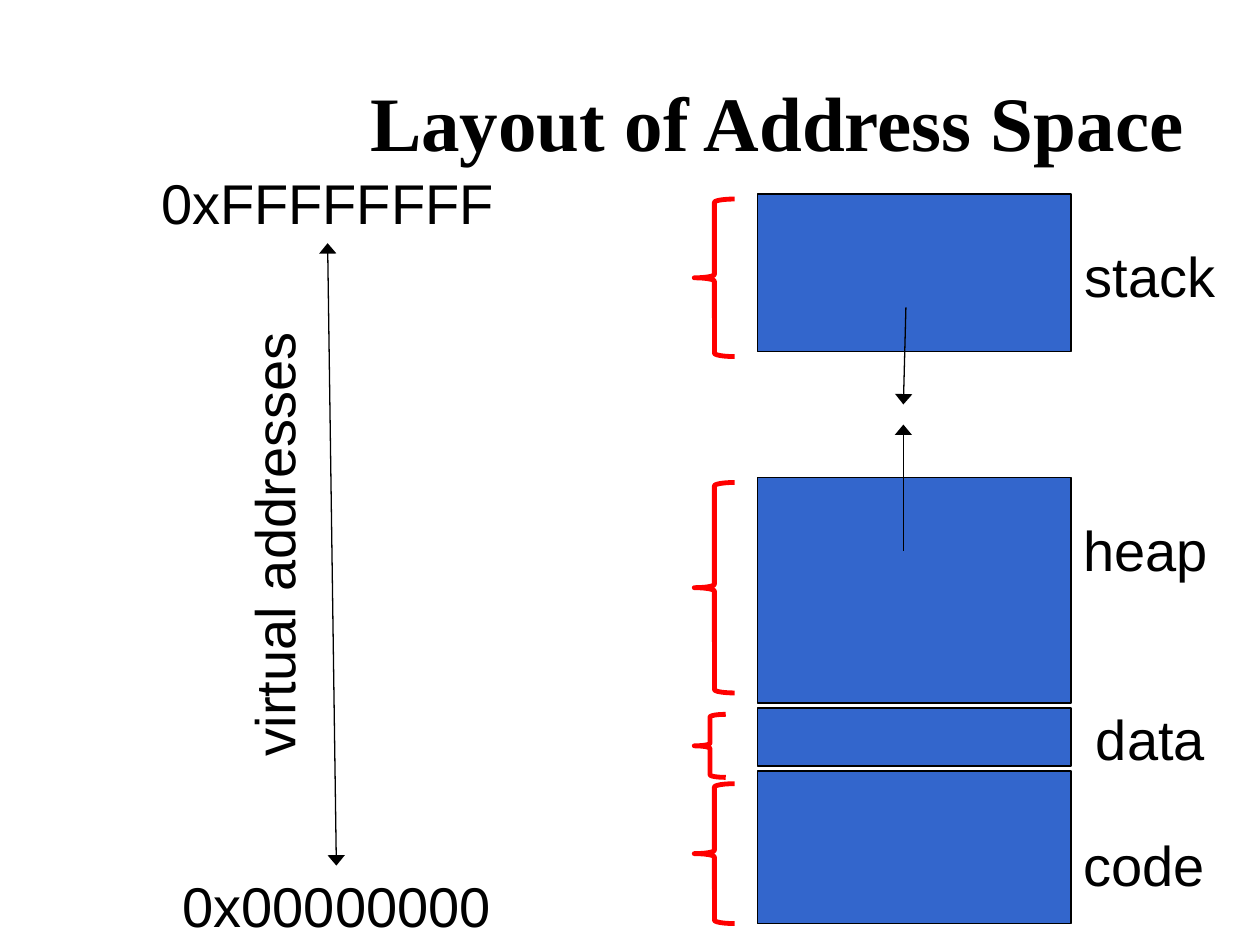
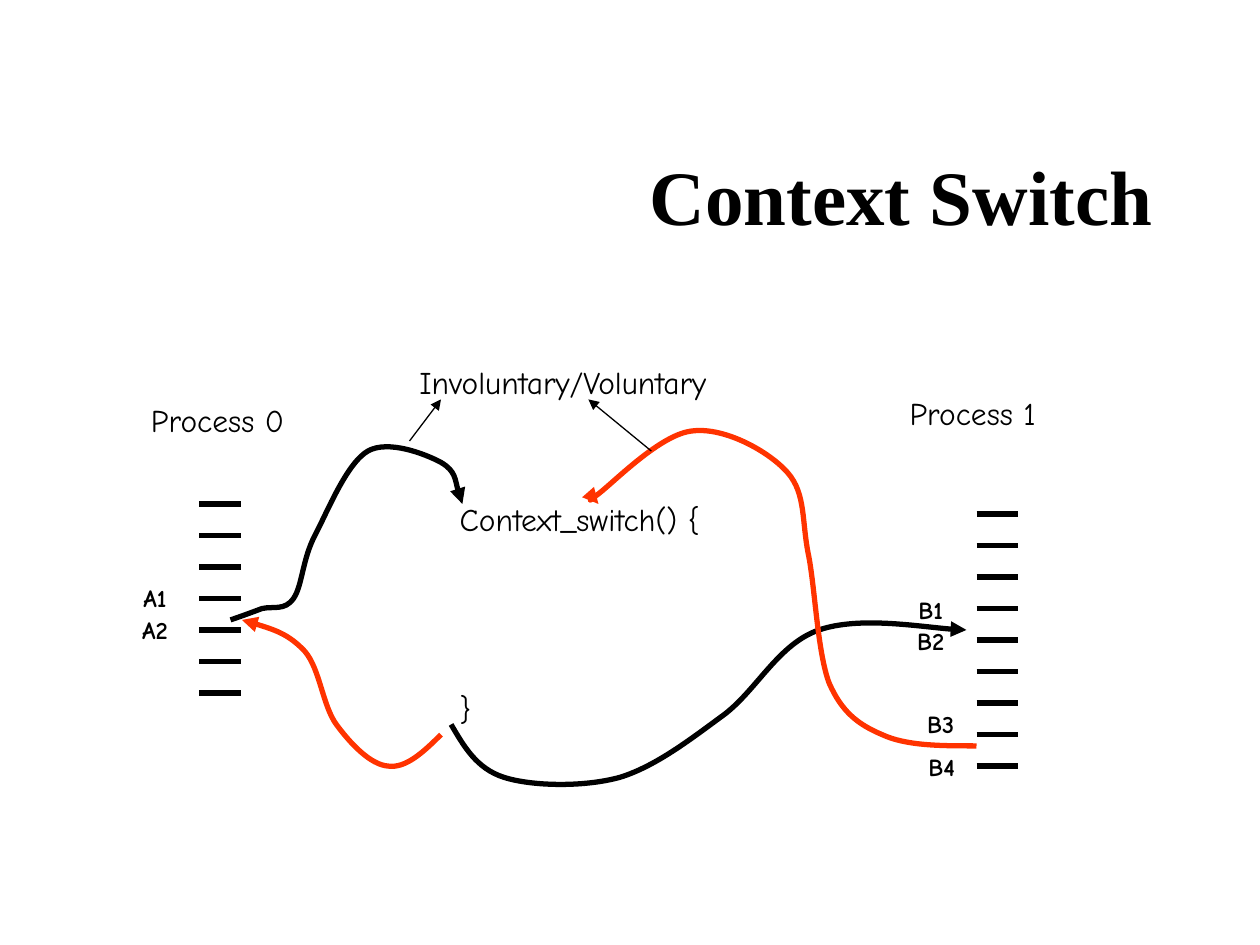
"""Build two slides on process memory layout and context switching."""
from pptx import Presentation
from pptx.dml.color import RGBColor
from pptx.enum.shapes import MSO_CONNECTOR, MSO_SHAPE
from pptx.enum.text import MSO_ANCHOR, MSO_AUTO_SIZE, PP_ALIGN
from pptx.oxml.xmlchemy import OxmlElement
from pptx.util import Inches, Pt

BLACK = RGBColor(0x00, 0x00, 0x00)
BLUE = RGBColor(0x33, 0x66, 0xCC)
RED = RGBColor(0xFF, 0x00, 0x00)
ORANGE = RGBColor(0xFF, 0x33, 0x00)
SANS, SERIF, COMIC = "Arial", "Times New Roman", "Comic Neue"
THIN, BRACE, THICK = 0.75, 2.75, 3
SLACK = 0.04


def write(p, text, font=SANS, size=32, bold=False, color=BLACK, before=0):
    p.space_before = Pt(before)
    r = p.add_run()
    r.text = text
    r.font.name, r.font.size, r.font.bold = font, Pt(size), bold
    r.font.color.rgb = color


class Deck:
    def __init__(self):
        self.prs = Presentation()
        self.prs.slide_width, self.prs.slide_height = Inches(10), Inches(7.5)
        self.s = None

    def slide(self, title, left, top):
        self.s = self.prs.slides.add_slide(self.prs.slide_layouts[5])
        sp = self.s.shapes.title
        sp.left, sp.top, sp.width, sp.height = map(Inches, (left, top, 7.17, 1.25))
        tf = sp.text_frame
        tf.vertical_anchor, tf.auto_size = MSO_ANCHOR.MIDDLE, MSO_AUTO_SIZE.NONE
        p = tf.paragraphs[0]
        p.alignment = PP_ALIGN.RIGHT
        write(p, title, font=SERIF, size=44, bold=True)

    def text(self, text, left, top, width, height, rotation=0, **fmt):
        sp = self.s.shapes.add_textbox(
            *map(Inches, (left, top, width + SLACK, height)))
        sp.rotation = rotation
        tf = sp.text_frame
        tf.word_wrap, tf.auto_size = False, MSO_AUTO_SIZE.SHAPE_TO_FIT_TEXT
        write(tf.paragraphs[0], text, **fmt)
        return tf

    def stroke(self, sp, color, width, head=False, tail=False, spread="med"):
        sp.line.color.rgb, sp.line.width = color, Pt(width)
        for tag, wanted in (("a:headEnd", head), ("a:tailEnd", tail)):
            if wanted:
                end = OxmlElement(tag)
                end.set("type", "triangle")
                end.set("w", spread)
                sp.line._get_or_add_ln().append(end)

    def shape(self, kind, left, top, width, height, line, weight, fill=None):
        sp = self.s.shapes.add_shape(kind, *map(Inches, (left, top, width, height)))
        sp.shadow.inherit = False
        if fill is None:
            sp.fill.background()
        else:
            sp.fill.solid()
            sp.fill.fore_color.rgb = fill
        self.stroke(sp, line, weight)

    def line(self, x1, y1, x2, y2, width=THIN, **ends):
        sp = self.s.shapes.add_connector(
            MSO_CONNECTOR.STRAIGHT, *map(Inches, (x1, y1, x2, y2)))
        self.stroke(sp, BLACK, width, **ends)
        sp._element.spPr.append(OxmlElement("a:effectLst"))

    def curve(self, points, color):
        start, *rest = [(Inches(x), Inches(y)) for x, y in points]
        builder = self.s.shapes.build_freeform(*start)
        builder.add_line_segments(rest, close=False)
        sp = builder.convert_to_shape()
        sp.shadow.inherit = False
        sp.fill.background()
        self.stroke(sp, color, THICK, tail=True)
        steps = sp._element.xpath(".//a:lnTo")
        for i in range(0, len(steps), 3):
            bezier = OxmlElement("a:cubicBezTo")
            steps[i].addprevious(bezier)
            for step in steps[i:i + 3]:
                bezier.append(step[0])
                step.getparent().remove(step)

    def instructions(self, left, top, count):
        for i in range(count):
            y = top + 0.25 * i
            self.line(left, y, left + 0.33, y, width=THICK)


def address_space(deck):
    deck.slide("Layout of Address Space", 2.33, 0.33)
    regions = [
        ("code", 6.12, 1.21, (8.5, 6.54, 1.16), (6.22, 0.32, 1.11)),
        ("data", 5.62, 0.46, (8.6, 5.54, 1.06), (5.67, 0.25, 0.5)),
        ("heap", 3.79, 1.79, (8.5, 4.04, 1.19), (3.83, 0.32, 1.67)),
        ("stack", 1.54, 1.25, (8.51, 1.87, 1.24), (1.58, 0.32, 1.25)),
    ]
    for name, top, height, label, (brace_top, brace_width, brace_height) in regions:
        deck.shape(MSO_SHAPE.RECTANGLE, 6.01, top, 2.49, height, BLACK, THIN, BLUE)
        deck.text(name, *label, 0.64)
        deck.shape(MSO_SHAPE.LEFT_BRACE, 5.51, brace_top, brace_width, brace_height,
                   RED, BRACE)
    deck.line(7.19, 2.44, 7.17, 3.21, tail=True, spread="lg")
    deck.line(7.17, 4.37, 7.17, 3.37, tail=True, spread="lg")
    deck.text("0x00000000", 1.35, 6.87, 2.65, 0.64)
    deck.text("0xFFFFFFFF", 1.18, 1.29, 2.84, 0.64)
    deck.text("virtual addresses", 0.37, 3.98, 3.56, 0.64, rotation=270)
    deck.line(2.6, 1.93, 2.67, 6.87, head=True, tail=True, spread="lg")


def context_switch(deck):
    deck.slide("Context Switch", 2.08, 0.92)
    captions = [
        ("Process 0", 1.1, 3.13, 1.26),
        ("Process 1", 7.12, 3.08, 1.21),
        ("Involuntary/Voluntary", 3.23, 2.83, 2.51),
    ]
    for caption in captions:
        deck.text(*caption, 0.4, font=COMIC, size=18)
    deck.instructions(1.58, 4, 7)
    deck.instructions(7.75, 4.08, 9)
    addresses = [
        ("A1", 1.04, 4.58, 0.38), ("A2", 1.03, 4.83, 0.4),
        ("B1", 7.19, 4.67, 0.39), ("B2", 7.18, 4.92, 0.41),
        ("B3", 7.26, 5.58, 0.41), ("B4", 7.27, 5.92, 0.41),
    ]
    for address in addresses:
        deck.text(*address, 0.34, font=COMIC, size=14, bold=True)
    tf = deck.text("Context_switch() {", 3.55, 3.92, 2.12, 1.9, font=COMIC, size=18)
    write(tf.add_paragraph(), "}", font=COMIC, size=18, before=86.4)

    leave_process_0 = [
        (1.83, 4.92), (1.92, 4.89), (2, 4.86), (2.08, 4.83),
        (2.17, 4.81), (2.26, 4.85), (2.33, 4.75),
        (2.4, 4.65), (2.4, 4.44), (2.5, 4.25),
        (2.6, 4.06), (2.75, 3.68), (2.92, 3.58),
        (3.08, 3.49), (3.37, 3.6), (3.5, 3.67),
        (3.62, 3.74), (3.64, 3.94), (3.67, 4)]
    enter_process_1 = [
        (3.58, 5.75), (3.68, 5.92), (3.78, 6.1), (4, 6.17),
        (4.22, 6.24), (4.63, 6.25), (4.92, 6.17),
        (5.21, 6.08), (5.49, 5.86), (5.75, 5.67),
        (6.01, 5.47), (6.18, 5.11), (6.5, 5),
        (6.82, 4.89), (7.47, 5), (7.67, 5)]
    leave_process_1 = [
        (7.75, 5.92), (7.47, 5.92), (7.19, 5.92), (7, 5.83),
        (6.81, 5.75), (6.68, 5.65), (6.58, 5.42),
        (6.49, 5.18), (6.47, 4.69), (6.42, 4.42),
        (6.36, 4.14), (6.4, 3.92), (6.25, 3.75),
        (6.1, 3.58), (5.75, 3.39), (5.5, 3.42),
        (5.25, 3.44), (4.88, 3.82), (4.75, 3.92),
        (4.63, 4.01), (4.69, 4.01), (4.75, 4)]
    enter_process_0 = [
        (3.5, 5.83), (3.36, 5.97), (3.22, 6.1), (3.08, 6.08),
        (2.94, 6.07), (2.78, 5.9), (2.67, 5.75),
        (2.56, 5.6), (2.54, 5.31), (2.42, 5.17),
        (2.29, 5.03), (2.1, 4.97), (1.92, 4.92)]
    deck.curve(leave_process_0, BLACK)
    deck.curve(enter_process_1, BLACK)
    deck.curve(leave_process_1, ORANGE)
    deck.curve(enter_process_0, ORANGE)
    deck.line(3.25, 3.5, 3.5, 3.17, tail=True)
    deck.line(5.17, 3.58, 4.67, 3.17, tail=True)


def main():
    deck = Deck()
    address_space(deck)
    context_switch(deck)
    deck.prs.save("out.pptx")


if __name__ == "__main__":
    main()
